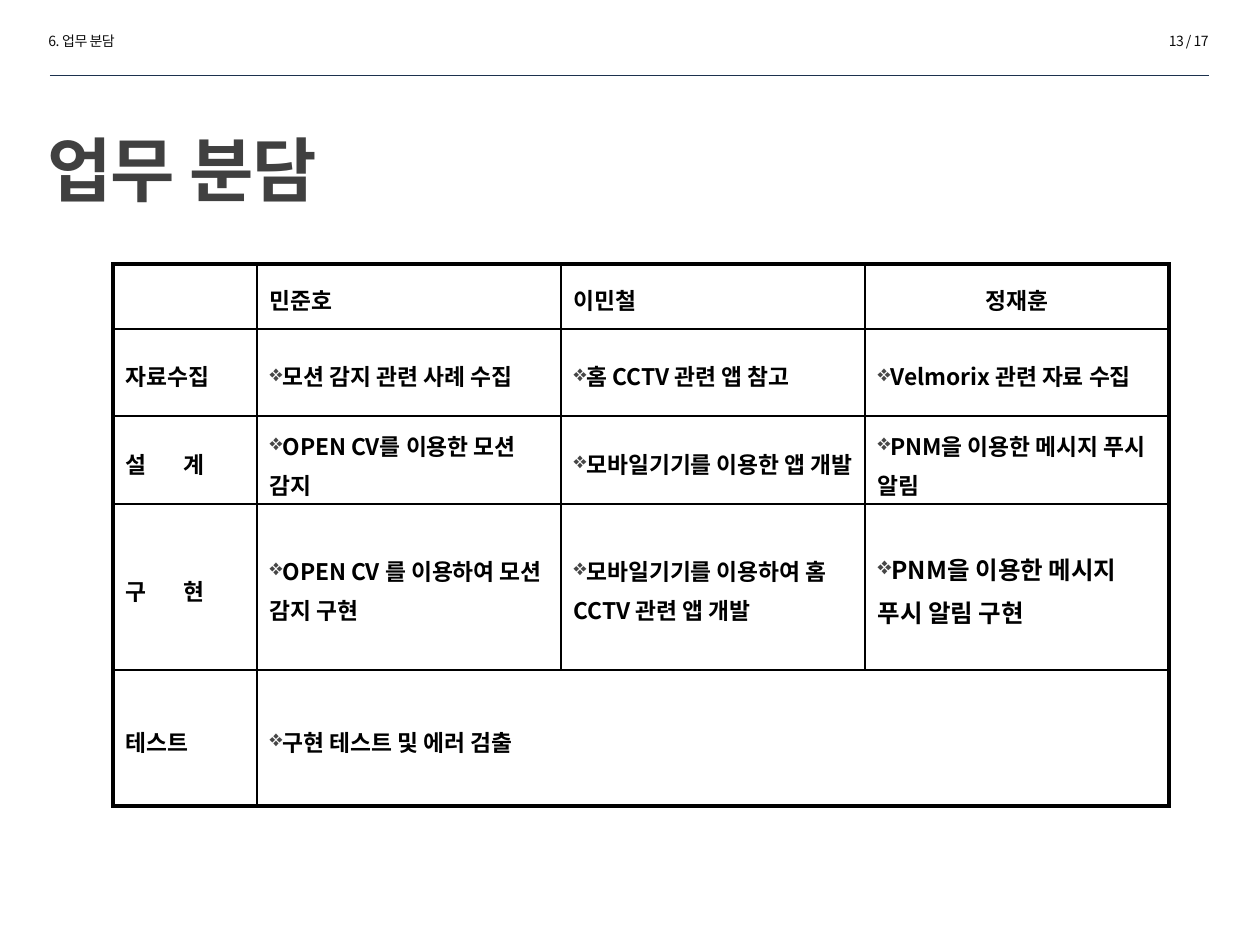
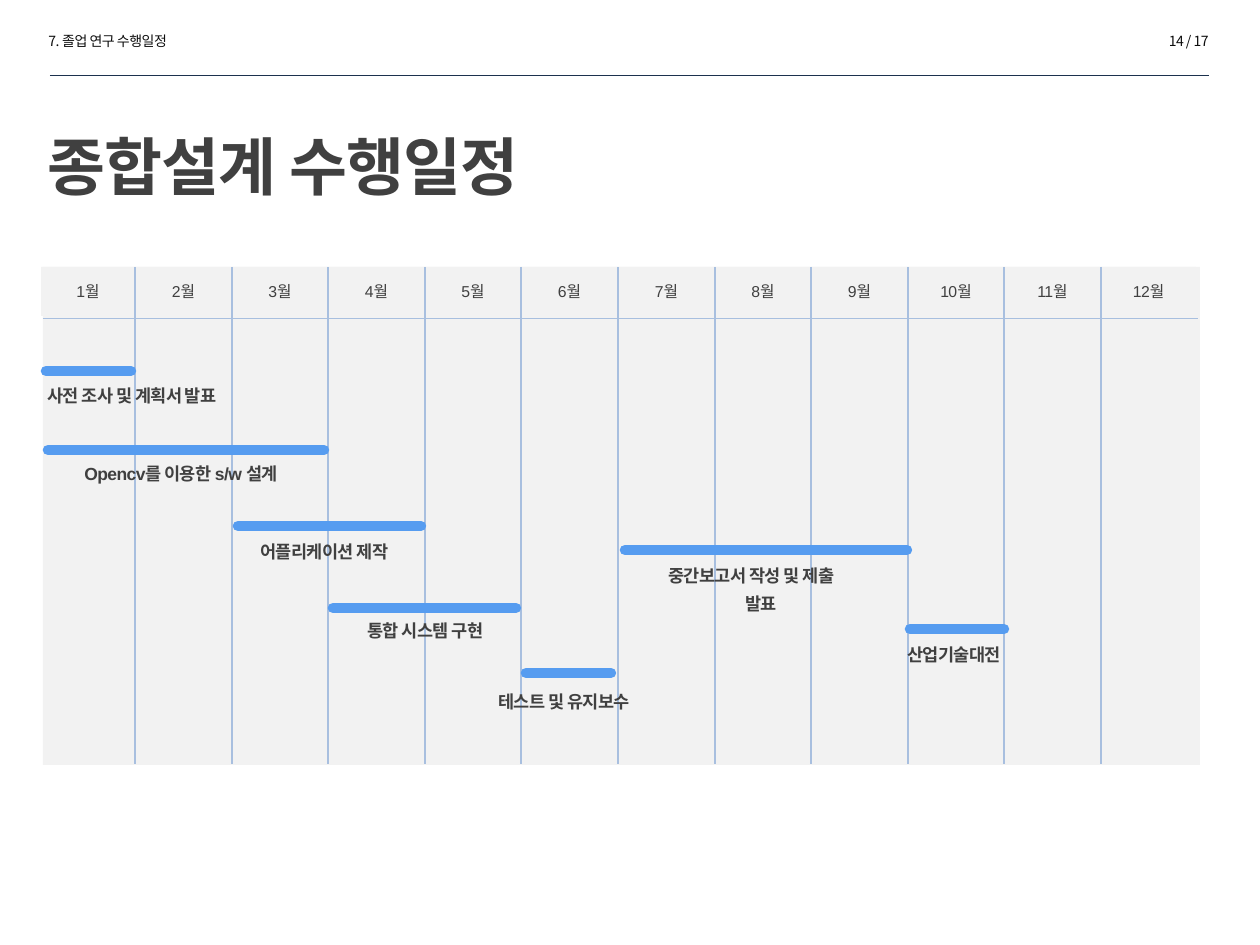
from pptx import Presentation
from pptx.dml.color import RGBColor
from pptx.enum.shapes import MSO_CONNECTOR as Connector, MSO_SHAPE as Shape
from pptx.enum.text import MSO_ANCHOR as Anchor, PP_ALIGN as Align
from pptx.oxml import parse_xml
from pptx.oxml.ns import nsdecls
from pptx.util import Pt
from lxml.etree import SubElement

PX = 914400 / 126
NS = "{http://schemas.openxmlformats.org/drawingml/2006/main}"
KOREAN = "Noto Sans CJK KR"
COLORS = {
    "header": "0D0D0D", "rule": "1C314E", "title": "404040", "black": "000000",
    "bullet": "464646", "panel": "F2F2F2", "grid": "A8BFDF", "bar": "569CF0",
}


def write(frame, text, size=10, color="title", latin="Arial", bold=False, tracking=0,
          align=Align.LEFT, spacing=None, before=None, bullet=False, tab=None):
    paragraph = frame.paragraphs[0]
    paragraph.alignment = align
    if spacing:
        paragraph.line_spacing = spacing
    if before:
        paragraph.space_before = Pt(before)
    props = paragraph._p.get_or_add_pPr()
    if bullet:
        props.set("marL", "0")
        props.set("indent", "0")
        SubElement(SubElement(props, NS + "buClr"), NS + "srgbClr", val=COLORS["bullet"])
        SubElement(props, NS + "buChar", char="❖")
    if tab:
        SubElement(SubElement(props, NS + "tabLst"), NS + "tab", pos=str(round(tab * PX)), algn="l")
    run = paragraph.add_run()
    run.text = text
    run.font.size, run.font.bold, run.font.name = Pt(size), bold, latin
    run.font.color.rgb = RGBColor.from_string(COLORS[color])
    run_props = run._r.get_or_add_rPr()
    run_props.set("spc", str(round(tracking * 100)))
    SubElement(run_props, NS + "ea", typeface=KOREAN)


def draw_line(slide, x1, y1, x2, y2, color, width, cap="flat"):
    ends = [round(v * PX) for v in (x1, y1, x2, y2)]
    line = slide.shapes.add_connector(Connector.STRAIGHT, *ends)
    line.line.color.rgb = RGBColor.from_string(COLORS[color])
    line.line.width = Pt(width)
    line.line._get_or_add_ln().set("cap", cap)
    SubElement(line._element.spPr, NS + "effectLst")


deck = Presentation()
deck.slide_width, deck.slide_height = round(1260 * PX), round(945 * PX)

pages = [
    ("6. 업무 분담", "13 / 17", "업무 분담", 40, (35, 97, 964, 81)),
    ("7. 졸업 연구 수행일정", "14 / 17", "종합설계 수행일정", 36, (35, 84, 1169, 105)),
]
slides = []
for section, number, title, title_size, title_box in pages:
    slide = deck.slides.add_slide(deck.slide_layouts[6])
    slides.append(slide)
    draw_line(slide, 50, 75, 1209, 75, "rule", 0.25)
    small = dict(size=8, color="header", latin=KOREAN, tracking=-0.3)
    large = dict(size=title_size, bold=True, tracking=-0.5, spacing=1.75)
    for text, box, style in [
        (section, (36, 26, 218, 30), small),
        (number, (1003, 26, 218, 30), dict(small, align=Align.RIGHT)),
        (title, title_box, large),
    ]:
        frame = slide.shapes.add_textbox(*[round(v * PX) for v in box]).text_frame
        frame.word_wrap = True
        frame.vertical_anchor = Anchor.MIDDLE if text == title else Anchor.TOP
        write(frame, text, **style)

duty_slide, schedule_slide = slides

duties = [
    ["", "민준호", "이민철", "정재훈"],
    ["자료수집", "모션 감지 관련 사례 수집", "홈 CCTV 관련 앱 참고", "Velmorix 관련 자료 수집"],
    ["설\t계", "OPEN CV를 이용한 모션 감지", "모바일기기를 이용한 앱 개발", "PNM을 이용한 메시지 푸시 알림"],
    ["구\t현", "OPEN CV 를 이용하여 모션 감지 구현", "모바일기기를 이용하여 홈 CCTV 관련 앱 개발",
     "PNM을 이용한 메시지 푸시 알림 구현"],
    ["테스트", "구현 테스트 및 에러 검출", "", ""],
]
column_widths = [144, 304, 304, 304]
row_heights = [65, 87, 88, 166, 136]
table_box = (113, 264, sum(column_widths), sum(row_heights))
table = duty_slide.shapes.add_table(5, 4, *[round(v * PX) for v in table_box]).table
table.first_row = table.horz_banding = False
for column, width in zip(table.columns, column_widths):
    column.width = round(width * PX)
for row, height in zip(table.rows, row_heights):
    row.height = round(height * PX)
table.cell(4, 1).merge(table.cell(4, 3))

for r, duty_row in enumerate(duties):
    for c, duty in enumerate(duty_row):
        cell = table.cell(r, c)
        cell.vertical_anchor = Anchor.MIDDLE
        cell.fill.background()
        outer = {"L": c == 0, "R": c == 3 or (r == 4 and c > 0), "T": r == 0, "B": r == 4}
        for place, (side, thick) in enumerate(outer.items()):
            border = parse_xml(
                f'<a:ln{side} {nsdecls("a")} w="{Pt(2.25 if thick else 1)}"><a:solidFill>'
                f'<a:srgbClr val="{COLORS["black"]}"/></a:solidFill></a:ln{side}>')
            cell._tc.get_or_add_tcPr().insert(place, border)
        if duty:
            write(cell.text_frame, duty, size=14 if (r, c) == (3, 3) else 13, color="black",
                  latin=KOREAN, bold=True, spacing=1.2, before=2.6,
                  align=Align.CENTER if (r, c) == (0, 3) else Align.LEFT,
                  bullet=r > 0 and c > 0, tab=58 if "\t" in duty else None)

month_edges = [41] + [round(135 + 96.6 * i) for i in range(11)] + [1196]
panels = [("", 43, 1157, 498)]
for month, (left, right) in enumerate(zip(month_edges, month_edges[1:]), 1):
    panels.append((f"{month}월", left, right - left, 49))
for label, left, width, height in panels:
    box = [round(v * PX) for v in (left, 267, width, height)]
    panel = schedule_slide.shapes.add_shape(Shape.RECTANGLE, *box)
    panel.shadow.inherit = False
    panel.fill.solid()
    panel.fill.fore_color.rgb = RGBColor.from_string(COLORS["panel"])
    panel.line.fill.background()
    if label:
        panel.text_frame.word_wrap = False
        panel.text_frame.vertical_anchor = Anchor.MIDDLE
        write(panel.text_frame, label, size=9, tracking=-0.3, align=Align.CENTER)

draw_line(schedule_slide, 43, 318, 1198, 318, "grid", 0.5)
for x in month_edges[1:-1]:
    draw_line(schedule_slide, x, 267, x, 764, "grid", 0.75)

for start, end, y in [
    (46, 131, 371), (48, 324, 450), (238, 421, 526), (333, 516, 608),
    (526, 611, 673), (625, 907, 550), (910, 1004, 629),
]:
    draw_line(schedule_slide, start, y, end, y, "bar", 6, cap="rnd")

for task, left, top, width in [
    ("사전 조사 및 계획서 발표", 35, 377, 226),
    ("Opencv를 이용한 s/w 설계", 72, 455, 237),
    ("어플리케이션 제작", 248, 533, 180),
    ("통합 시스템 구현", 355, 612, 160),
    ("테스트 및 유지보수", 486, 683, 179),
    ("중간보고서 작성 및 제출", 656, 557, 217),
    ("발표", 733, 585, 67),
    ("산업기술대전", 895, 636, 131),
]:
    box = [round(v * PX) for v in (left, top, width, 37)]
    frame = schedule_slide.shapes.add_textbox(*box).text_frame
    frame.word_wrap = True
    write(frame, task, bold=True, tracking=-0.3, spacing=1.1)

deck.save("out.pptx")
